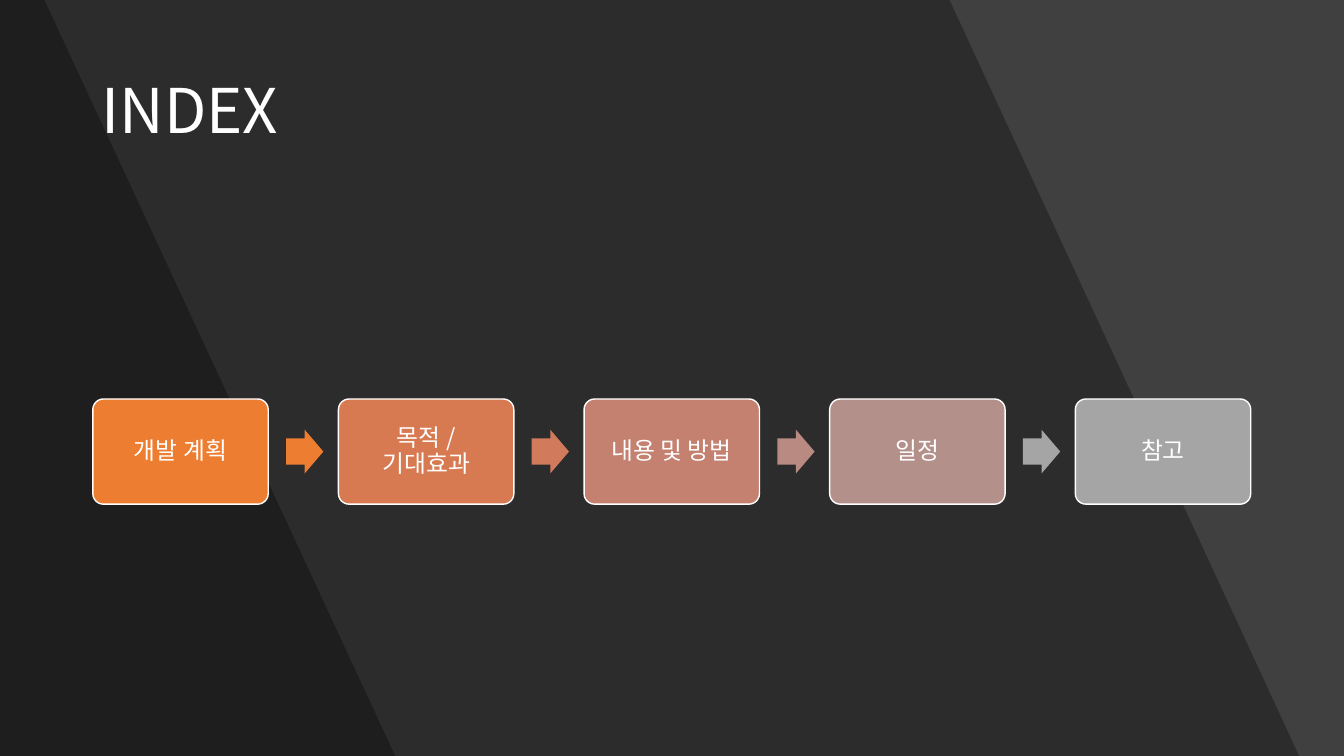
import dataclasses

import lxml.etree
import pptx
import pptx.dml.color
import pptx.enum.shapes
import pptx.enum.text
import pptx.oxml.ns
import pptx.util

Cm = pptx.util.Cm
Pt = pptx.util.Pt
SHAPES = pptx.enum.shapes.MSO_SHAPE
ALIGN = pptx.enum.text.PP_ALIGN


@dataclasses.dataclass(frozen=True)
class Theme:
    font: str = "Noto Sans CJK KR"
    title_size: int = 44
    step_size: int = 17
    background: str = "404040"
    panel: str = "000000"
    panel_opacity: int = 30
    light: str = "FFFFFF"
    steps: tuple = ("ED7D31", "D87A51", "C48170", "B4908B", "A5A5A5")
    arrows: tuple = ("ED7D31", "D17B5C", "B98A82", "A5A5A5")


THEME = Theme()
SLIDE_WIDTH, SLIDE_HEIGHT = 33.87, 19.05
STEPS = ("개발 계획", "목적 / 기대효과", "내용 및 방법", "일정", "참고")

# Step row, in centimetres
ROW_LEFT, ROW_MIDDLE, STEP_PITCH = 2.34, 11.38, 6.19
STEP_WIDTH, STEP_HEIGHT = 4.42, 2.65
ARROW_OFFSET, ARROW_WIDTH, ARROW_HEIGHT = 4.87, 0.94, 1.1


def color(value):
    return pptx.dml.color.RGBColor.from_string(value)


def paint(shape, fill):
    shape.shadow.inherit = False
    shape.fill.solid()
    shape.fill.fore_color.rgb = color(fill)
    shape.line.fill.background()


def write(frame, text, size, align):
    frame.word_wrap = True
    frame.auto_size = pptx.enum.text.MSO_AUTO_SIZE.NONE
    frame.vertical_anchor = pptx.enum.text.MSO_ANCHOR.MIDDLE
    para = frame.paragraphs[0]
    para.alignment = align
    para.line_spacing = 0.9
    span = para.add_run()
    span.text = text
    span.font.name = THEME.font
    span.font.size = Pt(size)
    span.font.color.rgb = color(THEME.light)
    # Korean glyphs take the East Asian typeface
    properties = span.font._element
    east_asian = lxml.etree.SubElement(properties, pptx.oxml.ns.qn("a:ea"))
    east_asian.set("typeface", THEME.font)


def add_panel(slide, top_right, bottom_right):
    builder = slide.shapes.build_freeform(0, 0)
    corners = ((top_right, 0), (bottom_right, SLIDE_HEIGHT), (0, SLIDE_HEIGHT))
    builder.add_line_segments([(Cm(x), Cm(y)) for x, y in corners], close=True)
    panel = builder.convert_to_shape()
    paint(panel, THEME.panel)
    tint = panel._element.spPr.find(".//" + pptx.oxml.ns.qn("a:srgbClr"))
    alpha = lxml.etree.SubElement(tint, pptx.oxml.ns.qn("a:alpha"))
    alpha.set("val", str(THEME.panel_opacity * 1000))


def place_title(slide, text):
    title = slide.shapes.title
    title.left, title.top = Cm(2.31), Cm(1.02)
    title.width, title.height = Cm(29.24), Cm(3.68)
    write(title.text_frame, text, THEME.title_size, ALIGN.LEFT)
    # Bring the title in front of the panels
    slide.shapes._spTree.append(title._element)


def add_row_shape(slide, kind, left, width, height, fill):
    shape = slide.shapes.add_shape(
        kind, Cm(left), Cm(ROW_MIDDLE - height / 2), Cm(width), Cm(height))
    paint(shape, fill)
    return shape


def add_step(slide, left, text, fill):
    box = add_row_shape(
        slide, SHAPES.ROUNDED_RECTANGLE, left, STEP_WIDTH, STEP_HEIGHT, fill)
    box.adjustments[0] = 0.1
    box.line.color.rgb = color(THEME.light)
    box.line.width = Pt(1)
    frame = box.text_frame
    frame.margin_left = frame.margin_right = Cm(0.25)
    frame.margin_top = frame.margin_bottom = Cm(0.25)
    write(frame, text, THEME.step_size, ALIGN.CENTER)


def add_arrow(slide, left, fill):
    arrow = add_row_shape(
        slide, SHAPES.RIGHT_ARROW, left, ARROW_WIDTH, ARROW_HEIGHT, fill)
    arrow.adjustments[0] = 0.6
    arrow.adjustments[1] = 0.5


def main():
    deck = pptx.Presentation()
    deck.slide_width, deck.slide_height = Cm(SLIDE_WIDTH), Cm(SLIDE_HEIGHT)
    page = deck.slides.add_slide(deck.slide_layouts.get_by_name("Title Only"))

    # Background with two slanted panels
    page.background.fill.solid()
    page.background.fill.fore_color.rgb = color(THEME.background)
    add_panel(page, 23.93, 32.74)
    add_panel(page, 1.12, 9.96)

    place_title(page, "INDEX")

    # Steps joined by arrows
    for index, (text, fill) in enumerate(zip(STEPS, THEME.steps)):
        left = ROW_LEFT + index * STEP_PITCH
        add_step(page, left, text, fill)
        if index < len(THEME.arrows):
            add_arrow(page, left + ARROW_OFFSET, THEME.arrows[index])

    deck.save("out.pptx")


main()
